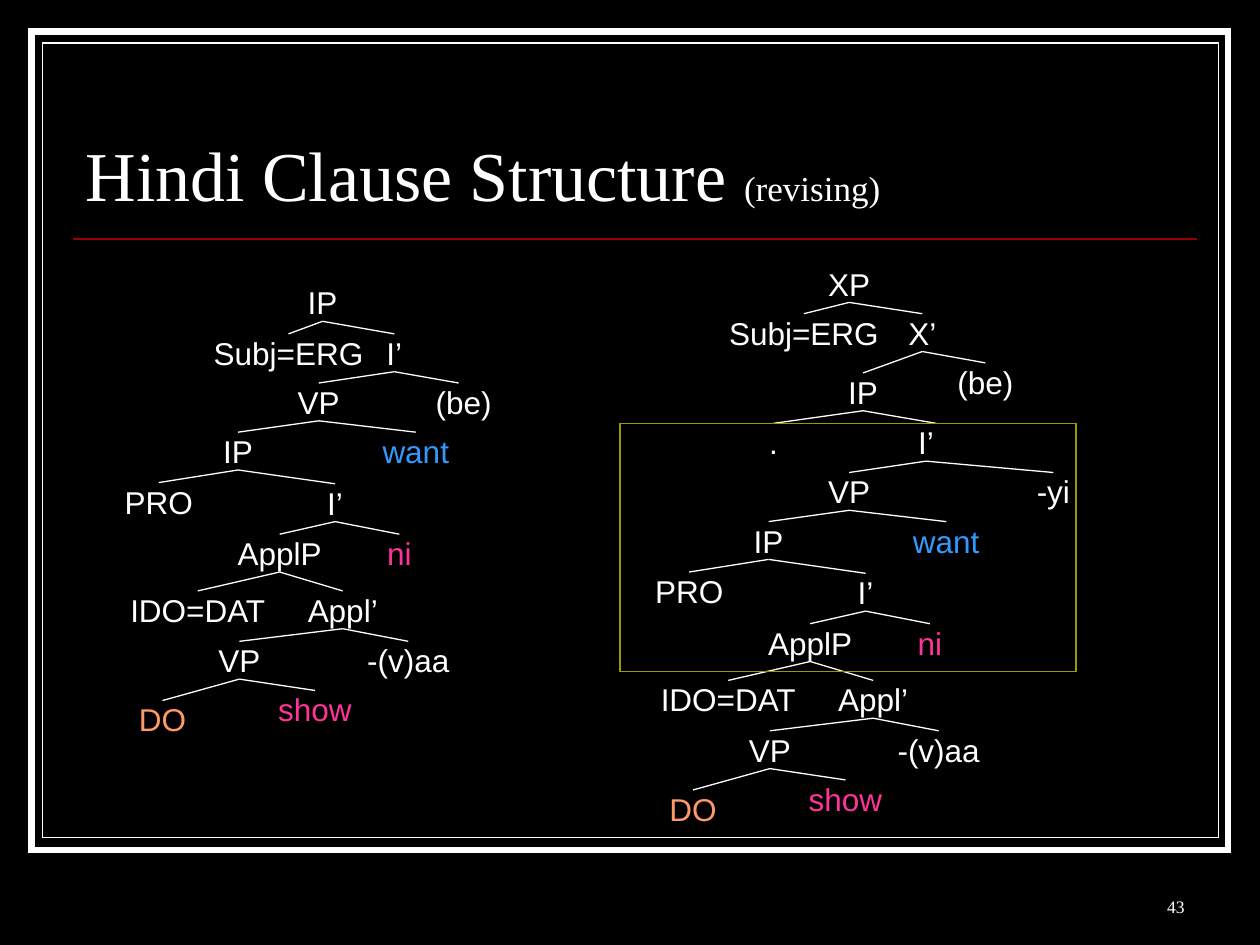
from dataclasses import dataclass

from lxml import etree
from pptx import Presentation
from pptx.dml.color import RGBColor
from pptx.enum import shapes, text
from pptx.oxml.ns import qn
from pptx.util import Inches, Pt


@dataclass(frozen=True)
class Theme:
    ground: str = "000000"
    ink: str = "FFFFFF"
    rule: str = "990000"
    highlight: str = "999900"
    verb: str = "3399FF"
    suffix: str = "FF3399"
    item: str = "FF9966"
    serif: str = "Times New Roman"
    sans: str = "Arial"
    title: int = 40
    subtitle: int = 20
    label: int = 18
    number: int = 10
    thin: float = 0.75


@dataclass(frozen=True)
class Node:
    """A label by its centre and top; join is where its branch ends, if off centre."""
    label: str
    x: float
    y: float
    children: tuple = ()
    color: str = Theme.ink
    join: float = None


THEME = Theme()
LABEL_HEIGHT = 0.3
LABEL_SLACK = 0.03  # keeps each label on one line
LABEL_WIDTHS = {
    "IP": 0.24, "VP": 0.33, "XP": 0.33, "I’": 0.13, "X’": 0.22, ".": 0.07,
    "Subj=ERG": 1.19, "(be)": 0.45, "want": 0.53, "-yi": 0.26, "PRO": 0.54,
    "ApplP": 0.67, "ni": 0.2, "IDO=DAT": 1.09, "Appl’": 0.56,
    "-(v)aa": 0.65, "DO": 0.38, "show": 0.58,
}
TITLE = [("Hindi Clause Structure ", THEME.title), ("(revising)", THEME.subtitle)]
FRAMES = [((0.25, 0.25, 9.5, 6.5), 3.5), ((0.34, 0.34, 9.33, 6.31), THEME.thin)]
HIGHLIGHT = (4.92, 3.36, 3.62, 1.97)


def verb_phrase(x, y):
    """The VP that both clauses share, with its top centre at x, y."""
    def at(label, dx, dy, *children, color=THEME.ink):
        return Node(label, x + dx, y + dy, children, color)

    lower_vp = at("VP", -0.63, 2.05,
                  at("DO", -1.24, 2.52, color=THEME.item),
                  at("show", -0.03, 2.44, color=THEME.suffix))
    applicative = at("ApplP", -0.31, 1.2,
                     at("IDO=DAT", -0.96, 1.65),
                     at("Appl’", 0.19, 1.65, lower_vp, at("-(v)aa", 0.71, 2.05)))
    infinitive = at("IP", -0.64, 0.39,
                    at("PRO", -1.27, 0.79),
                    at("I’", 0.13, 0.8, applicative,
                       at("ni", 0.64, 1.2, color=THEME.suffix)))
    return at("VP", 0, 0, infinitive, at("want", 0.77, 0.39, color=THEME.verb))


TREES = [
    Node("IP", 2.56, 2.25, (
        Node("Subj=ERG", 2.29, 2.65),
        Node("I’", 3.13, 2.65, (
            verb_phrase(2.53, 3.04),
            Node("(be)", 3.68, 3.04, join=3.64))))),
    Node("XP", 6.74, 2.1, (
        Node("Subj=ERG", 6.38, 2.49),
        Node("X’", 7.32, 2.49, (
            Node("IP", 6.85, 2.96, (
                Node(".", 6.14, 3.36),
                Node("I’", 7.35, 3.36, (
                    verb_phrase(6.74, 3.75),
                    Node("-yi", 8.36, 3.75)), join=7.43))),
            Node("(be)", 7.82, 2.88))))),
]


def inches(values):
    return [Inches(value) for value in values]


def style_font(font, face, size, color):
    font.name, font.size = face, Pt(size)
    font.color.rgb = RGBColor.from_string(color)


def style_line(line, color, width):
    """Set colour and width, with square corners."""
    line.color.rgb = RGBColor.from_string(color)
    line.width = Pt(width)


def add_line(page, ends, color, width):
    line = page.shapes.add_connector(shapes.MSO_CONNECTOR.STRAIGHT, *inches(ends))
    style_line(line.line, color, width)
    etree.SubElement(line.element.spPr, qn("a:effectLst"))
    return line


def add_rectangle(page, place, color, width, fill=None):
    box = page.shapes.add_shape(shapes.MSO_SHAPE.RECTANGLE, *inches(place))
    box.shadow.inherit = False
    if fill:
        box.fill.solid()
        box.fill.fore_color.rgb = RGBColor.from_string(fill)
    else:
        box.fill.background()
    style_line(box.line, color, width)
    outline = box.element.spPr.find(qn("a:ln"))
    etree.SubElement(outline, qn("a:miter"), lim="800000")


def add_label(page, node):
    width = LABEL_WIDTHS[node.label] + LABEL_SLACK
    box = page.shapes.add_textbox(
        *inches((node.x - width / 2, node.y, width, LABEL_HEIGHT)))
    frame = box.text_frame
    frame.margin_left = frame.margin_right = frame.margin_top = frame.margin_bottom = 0
    frame.word_wrap = False
    frame.auto_size = text.MSO_AUTO_SIZE.SHAPE_TO_FIT_TEXT
    frame.vertical_anchor = text.MSO_ANCHOR.MIDDLE
    para = frame.paragraphs[0]
    para.text = node.label
    para.alignment = text.PP_ALIGN.CENTER
    style_font(para.font, THEME.sans, THEME.label, node.color)
    return box


def add_tree(page, node):
    """Draw a node and all below it, and return the node's own box."""
    box = add_label(page, node)
    for child in node.children:
        child_box = add_tree(page, child)
        ends = (node.x, node.y + LABEL_HEIGHT, child.join or child.x, child.y)
        branch = add_line(page, ends, THEME.ink, THEME.thin)
        branch.begin_connect(box, 2)
        if child.join is None:
            branch.end_connect(child_box, 0)
    return box


def format_title(page):
    title = page.shapes.title
    title.element.getparent().append(title.element)  # in front of the frames
    title.left, title.top, title.width, title.height = inches((0.58, 0.51, 8.92, 1.25))
    frame = title.text_frame
    frame.auto_size = text.MSO_AUTO_SIZE.NONE
    frame.vertical_anchor = text.MSO_ANCHOR.BOTTOM
    para = frame.paragraphs[0]
    para.alignment = text.PP_ALIGN.LEFT
    para.line_spacing = 0.8
    for words, size in TITLE:
        span = para.add_run()
        span.text = words
        style_font(span.font, THEME.serif, size, THEME.ink)


def add_page_number(page):
    frame = page.shapes.add_textbox(*inches((7.42, 6.83, 2.08, 0.5))).text_frame
    frame.word_wrap = True
    frame.vertical_anchor = text.MSO_ANCHOR.BOTTOM
    para = frame.paragraphs[0]
    para.text = "43"
    para.alignment = text.PP_ALIGN.RIGHT
    style_font(para.font, THEME.serif, THEME.number, THEME.ink)


def main():
    deck = Presentation()
    deck.slide_width, deck.slide_height = inches((10, 7.5))
    page = deck.slides.add_slide(deck.slide_layouts.get_by_name("Title Only"))
    page.background.fill.solid()
    page.background.fill.fore_color.rgb = RGBColor.from_string(THEME.ground)

    for place, width in FRAMES:
        add_rectangle(page, place, THEME.ink, width, THEME.ground)
    add_line(page, (0.58, 1.9, 9.5, 1.9), THEME.rule, 1.25)
    format_title(page)
    for tree in TREES:
        add_tree(page, tree)
    add_rectangle(page, HIGHLIGHT, THEME.highlight, THEME.thin)
    add_page_number(page)
    deck.save("out.pptx")


if __name__ == "__main__":
    main()
